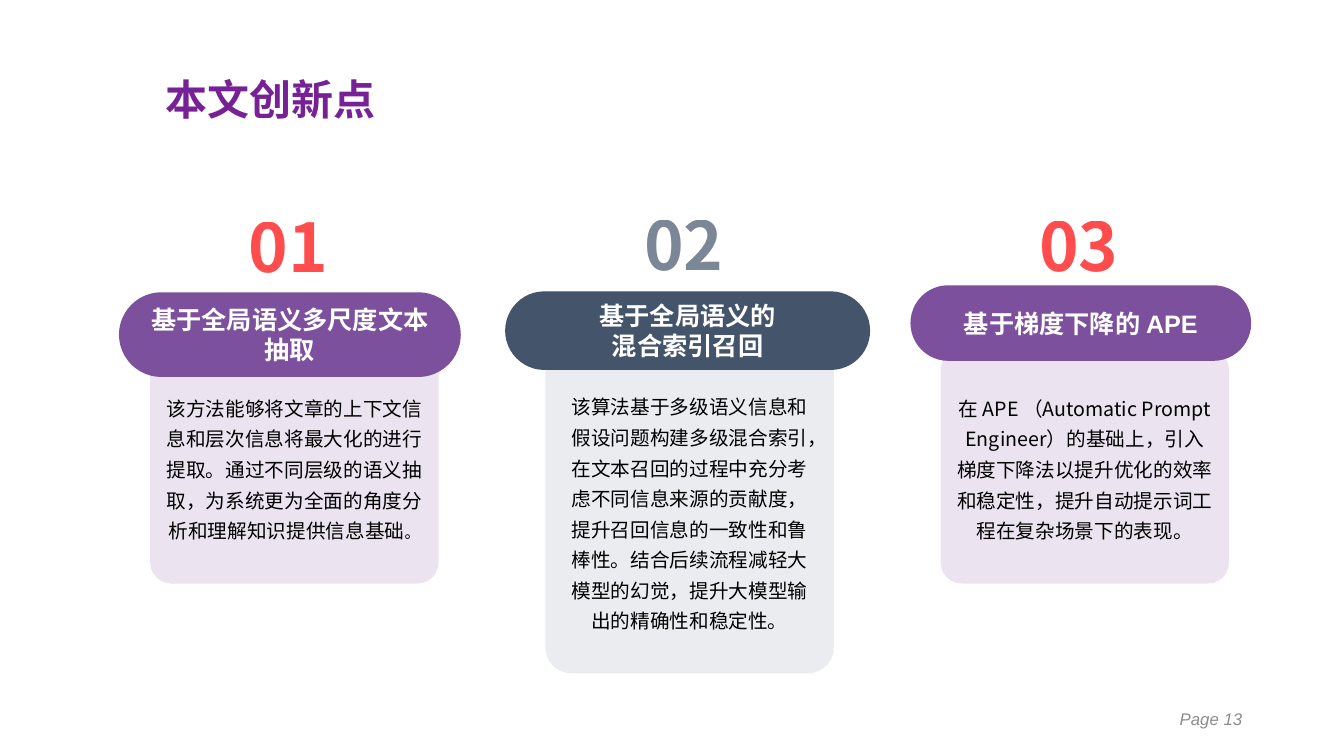
from lxml import etree
from pptx import Presentation
from pptx.dml.color import RGBColor
from pptx.enum.shapes import MSO_SHAPE
from pptx.enum.text import MSO_ANCHOR, PP_ALIGN
from pptx.oxml.ns import qn
from pptx.util import Pt

ROUNDED = MSO_SHAPE.ROUNDED_RECTANGLE
TOP, MIDDLE = MSO_ANCHOR.TOP, MSO_ANCHOR.MIDDLE
LEFT, CENTER, RIGHT = PP_ALIGN.LEFT, PP_ALIGN.CENTER, PP_ALIGN.RIGHT

PX = 9144  # 100 px to the inch
CJK, ARIAL = "Noto Sans CJK SC", "Arial"
PURPLE, SLATE, RED = "7C509D", "44546A", "FF0000"

# Each column: box of the card, then pill and number as offsets from its corner
COLUMNS = [
    {"card": (149, 346, 286, 233), "pill": (-31, -56, 339, 84), "number_at": (88, -147),
     "number": "01", "heading": ["基于全局语义多尺度文本抽取"],
     "body": "该方法能够将文章的上下文信息和层次信息将最大化的进行提取。通过不同层级的语义抽取，"
             "为系统更为全面的角度分析和理解知识提供信息基础",
     "small_ending": "。", "colors": (PURPLE, PURPLE, RED)},
    {"card": (541, 345, 286, 323), "pill": (-40, -56, 362, 78), "number_at": (88, -148),
     "number": "02", "heading": ["基于全局语义的", "混合索引召回"],
     "body": "该算法基于多级语义信息和假设问题构建多级混合索引，在文本召回的过程中充分考虑不同信息"
             "来源的贡献度，提升召回信息的一致性和鲁棒性。结合后续流程减轻大模型的幻觉，"
             "提升大模型输出的精确性和稳定性。",
     "small_ending": "", "colors": ("778495", SLATE, SLATE)},
    {"card": (933, 346, 286, 233), "pill": (-30, -63, 338, 75), "number_at": (88, -148),
     "number": "03", "heading": ["基于梯度下降的 APE"],
     "body": "在 APE （Automatic Prompt Engineer）的基础上，引入梯度下降法以提升优化的效率和稳定性，"
             "提升自动提示词工程在复杂场景下的表现。",
     "small_ending": "", "colors": (PURPLE, PURPLE, RED)},
]


def set_color(target, color, opacity=100):
    """Colour a fill, or the fill of a font, with a hex string."""
    target.solid()
    target.fore_color.rgb = RGBColor.from_string(color)
    if opacity < 100:
        hex_color = target._xPr.find(qn("a:solidFill")).find(qn("a:srgbClr"))
        etree.SubElement(hex_color, qn("a:alpha")).set("val", str(opacity * 1000))


def format_run(run, size, color, font=CJK, bold=False, italic=False, opacity=100):
    run.font.size = Pt(size)
    run.font.name = font
    run.font.bold = bold
    run.font.italic = italic
    set_color(run.font.fill, color, opacity)
    east_asian = etree.SubElement(run._r.get_or_add_rPr(), qn("a:ea"))
    east_asian.set("typeface", CJK)


def write(shape, lines, size, color, align=LEFT, anchor=MIDDLE, spacing=1.0, **style):
    frame = shape.text_frame
    frame.word_wrap = True
    frame.vertical_anchor = anchor
    frame.text = "\n".join(lines)
    for paragraph in frame.paragraphs:
        paragraph.alignment = align
        paragraph.line_spacing = spacing
        for run in paragraph.runs:
            format_run(run, size, color, **style)


def add_text(slide, box, lines, size, color, **style):
    shape = slide.shapes.add_textbox(*(value * PX for value in box))
    write(shape, lines, size, color, **style)


def add_rounded(slide, box, rounding, color, opacity=100):
    shape = slide.shapes.add_shape(ROUNDED, *(value * PX for value in box))
    shape.adjustments[0] = rounding
    shape.shadow.inherit = False
    shape.line.fill.background()
    set_color(shape.fill, color, opacity)
    return shape


def add_column(slide, column):
    left, top, width, height = column["card"]
    card_color, pill_color, number_color = column["colors"]

    # Card with the description
    card = add_rounded(slide, (left, top, width, height), 0.09, card_color, 15)
    write(card, [column["body"]], 14, "000000", align=CENTER, spacing=1.3)
    if column["small_ending"]:
        ending = card.text_frame.paragraphs[0].add_run()
        ending.text = column["small_ending"]
        format_run(ending, 11, "000000", ARIAL)

    # Heading pill over the top edge of the card
    dx, dy, pill_width, pill_height = column["pill"]
    pill = add_rounded(slide, (left + dx, top + dy, pill_width, pill_height), 0.5, pill_color)
    write(pill, column["heading"], 18, "FFFFFF", align=CENTER, font=ARIAL, bold=True)

    # Number above the pill
    dx, dy = column["number_at"]
    add_text(slide, (left + dx, top + dy, 105, 91), [column["number"]], 48, number_color,
             anchor=TOP, bold=True, opacity=70)


def add_title(slide, box):
    add_text(slide, box, ["本文创新点"], 30, "772197", spacing=0.9, bold=True)


def add_page_number(slide, box):
    add_text(slide, box, ["Page 13"], 12, "8C8C8C", align=RIGHT, font=ARIAL, italic=True)


def main():
    presentation = Presentation()
    presentation.slide_width = 1333 * PX
    presentation.slide_height = 750 * PX
    slide = presentation.slides.add_slide(presentation.slide_layouts[6])
    add_title(slide, (154, 71, 614, 61))
    for column in COLUMNS:
        add_column(slide, column)
    add_page_number(slide, (942, 693, 300, 40))
    presentation.save("out.pptx")


if __name__ == "__main__":
    main()
